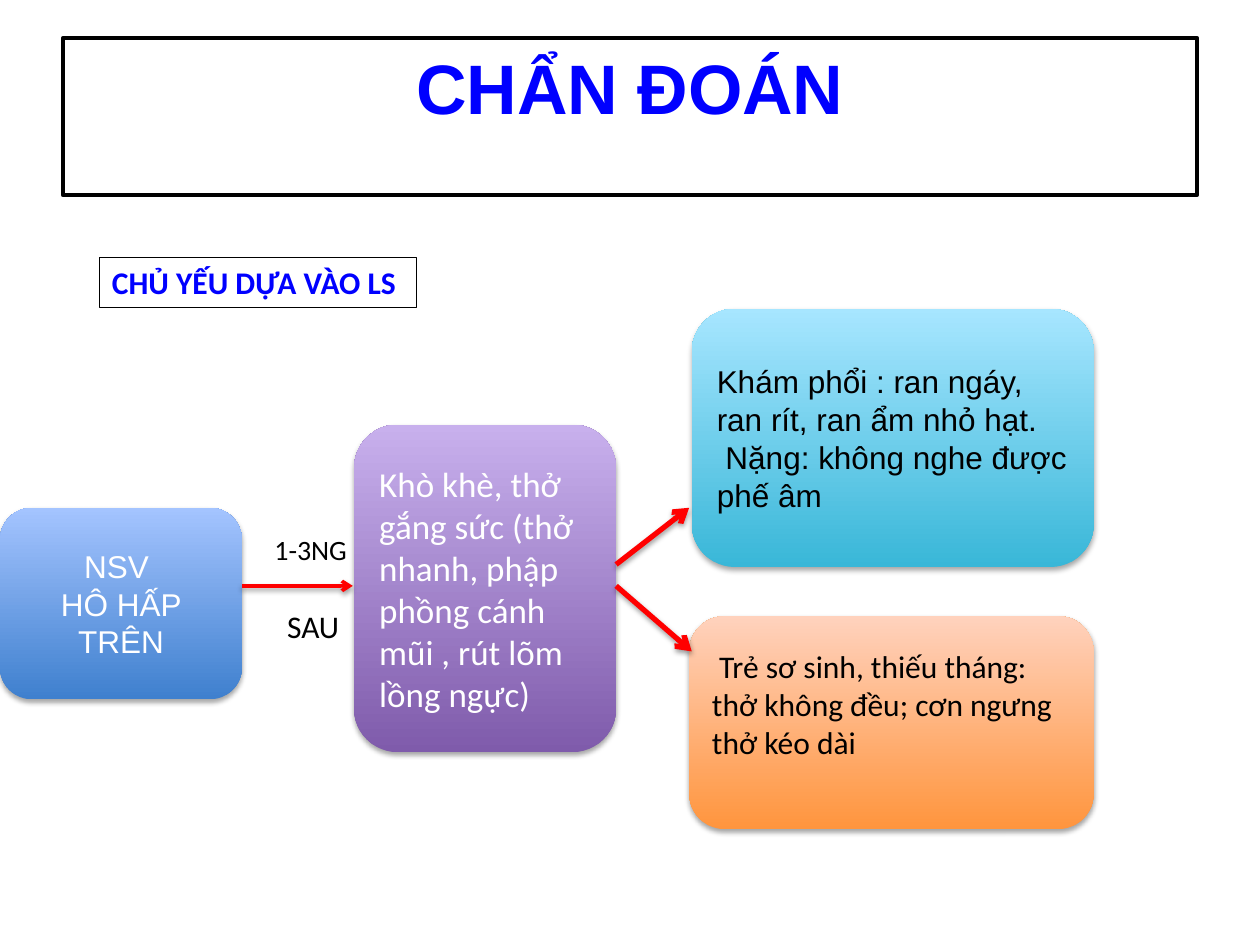
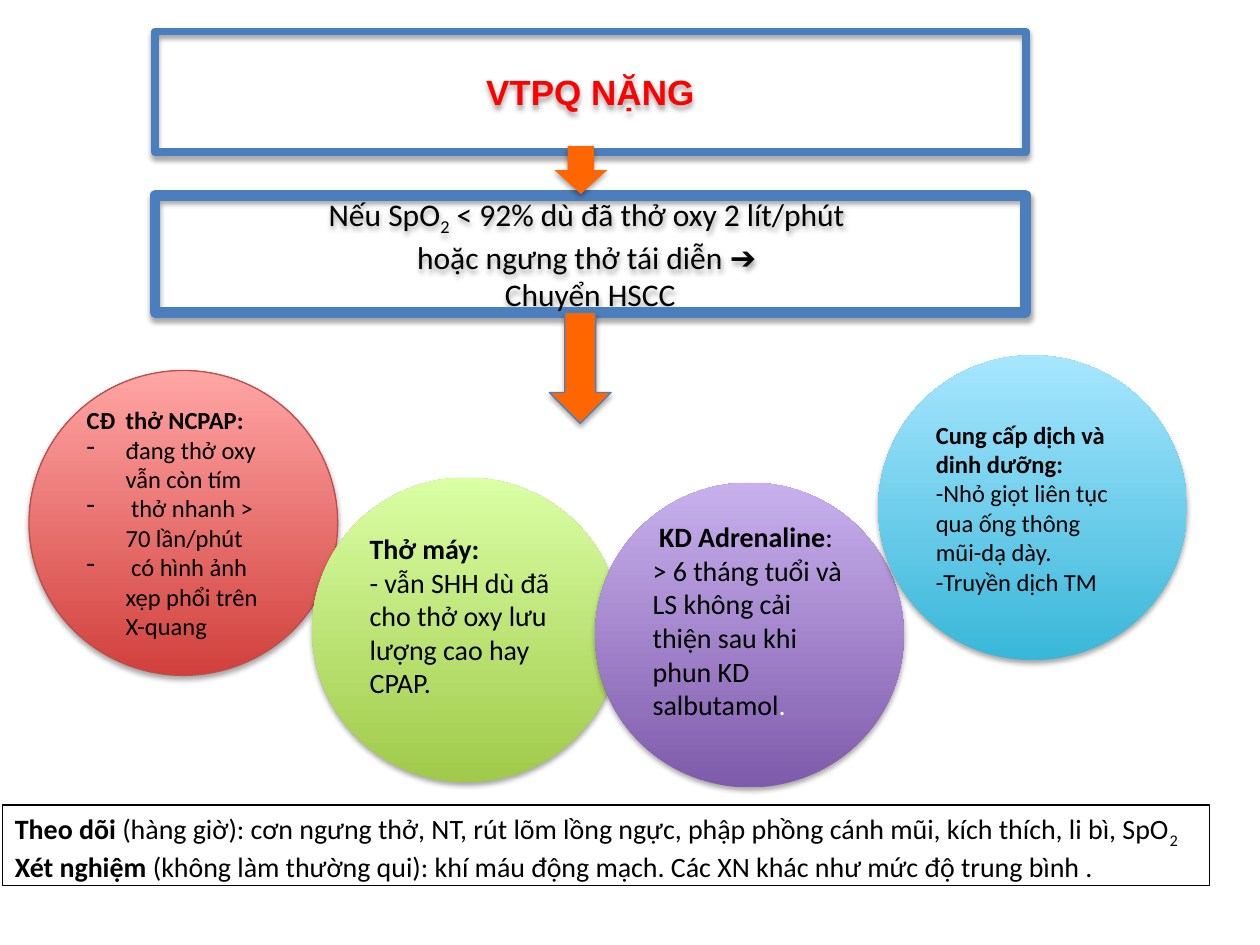
from dataclasses import dataclass

from lxml.etree import SubElement
from pptx import Presentation
from pptx.dml.color import RGBColor
from pptx.enum.shapes import MSO_CONNECTOR, MSO_SHAPE
from pptx.enum.text import MSO_ANCHOR, MSO_AUTO_SIZE, PP_ALIGN
from pptx.oxml.ns import qn
from pptx.util import Inches, Pt

BLACK, WHITE, RED, BLUE = "000000", "FFFFFF", "FF0000", "0000FF"
STEEL, FLAME = "4B7EBC", "FF6600"
SKY = ("39B7D8", "A7E6FF")
PLUM = ("7F5BAB", "C8B0ED")
NAVY = ("3F80CE", "A4C4FF")
PEACH = ("FF953E", "FFD2BD")
ROSE = ("D1403C", "FFA6A5")
LIME = ("A0CA4A", "DAFFA5")
CELL = 0.1


@dataclass
class Box:
    """A region measured in cells of a grid of 100 columns and 75 rows."""
    x: float
    y: float
    w: float
    h: float

    def sub(self, x, y, w, h):
        """Return a box placed relative to this one."""
        return Box(self.x + x, self.y + y, w, h)

    def frame(self):
        """Return left, top, width and height as lengths."""
        return [Inches(n * CELL) for n in (self.x, self.y, self.w, self.h)]


PAGE = Box(0, 0, 100, 75)


def tint(code):
    """Turn a hex string into a colour."""
    return RGBColor.from_string(code)


def cast(props, alpha, dist):
    """Add a soft shadow that falls straight down."""
    glow = props.find(qn("a:effectLst"))
    if glow is None:
        glow = SubElement(props, qn("a:effectLst"))
    shade = SubElement(glow, qn("a:outerShdw"), blurRad=str(Pt(3.1)),
                       dist=str(Pt(dist)), dir="5400000", rotWithShape="0")
    ink = SubElement(shade, qn("a:srgbClr"), val=BLACK)
    SubElement(ink, qn("a:alpha"), val=str(alpha * 1000))


def paint(shape, fill=None, line=None, width=0.75, shade=True):
    """Set fill, outline and shadow; a pair of colours makes a gradient."""
    if isinstance(fill, tuple):
        shape.fill.gradient()
        shape.fill.gradient_angle = 90
        for stop, code in zip(shape.fill.gradient_stops, fill):
            stop.color.rgb = tint(code)
    elif fill:
        shape.fill.solid()
        shape.fill.fore_color.rgb = tint(fill)
    else:
        shape.fill.background()
    if line:
        shape.line.color.rgb = tint(line)
        shape.line.width = Pt(width)
    else:
        shape.line.fill.background()
    shape.shadow.inherit = False
    if shade:
        cast(shape._element.spPr, 35, 1.8)


def dash(para):
    """Give a paragraph a hanging dash."""
    props = para._p.get_or_add_pPr()
    props.set("marL", str(Inches(0.31)))
    props.set("indent", str(-Inches(0.31)))
    SubElement(props, qn("a:buChar"), char="-")


def tab(para):
    """Set a tab stop in line with the dashed text."""
    tabs = SubElement(para._p.get_or_add_pPr(), qn("a:tabLst"))
    SubElement(tabs, qn("a:tab"), pos=str(Inches(0.31)), algn="l")


def write(shape, paras, size, color=BLACK, font="Calibri", align=PP_ALIGN.LEFT,
          anchor=MSO_ANCHOR.MIDDLE, wrap=True, foot=0.05):
    """Fill a shape with paragraphs of (text, marks) runs: b bold, s sub, w white, - dash."""
    frame = shape.text_frame
    frame.word_wrap = wrap
    frame.auto_size = MSO_AUTO_SIZE.NONE
    frame.vertical_anchor = anchor
    frame.margin_bottom = Inches(foot)
    for i, runs in enumerate(paras):
        para = frame.add_paragraph() if i else frame.paragraphs[0]
        runs = [(runs, "")] if isinstance(runs, str) else runs
        if "-" in runs[0][1]:
            dash(para)
        if "\t" in runs[0][0]:
            tab(para)
        para.alignment = align
        for text, marks in runs:
            run = para.add_run()
            run.text = text
            run.font.name = font
            run.font.size = Pt(size)
            run.font.bold = "b" in marks
            run.font.color.rgb = tint(WHITE if "w" in marks else color)
            if "s" in marks:
                run._r.get_or_add_rPr().set("baseline", "-25000")


def form(slide, kind, box, **look):
    """Add a painted preset shape."""
    shape = slide.shapes.add_shape(kind, *box.frame())
    paint(shape, **look)
    return shape


def label(slide, box, text, size):
    """Add a plain line of text."""
    write(slide.shapes.add_textbox(*box.frame()), [text], size,
          anchor=MSO_ANCHOR.TOP, wrap=False)


def arrow(slide, box, width):
    """Draw a red arrow from the first to the last corner of a box."""
    ends = (box.x, box.y, box.x + box.w, box.y + box.h)
    link = slide.shapes.add_connector(
        MSO_CONNECTOR.STRAIGHT, *[Inches(n * CELL) for n in ends])
    link.line.color.rgb = tint(RED)
    link.line.width = Pt(width)
    SubElement(link.line._get_or_add_ln(), qn("a:tailEnd"), type="arrow")
    cast(link._element.spPr, 38, 1.6)


def title(slide, box, text, size, color, anchor, **look):
    """Place and style the title."""
    head = slide.shapes.title
    head.left, head.top, head.width, head.height = box.frame()
    paint(head, **look)
    write(head, [[(text, "b")]], size, color, "Arial", PP_ALIGN.CENTER, anchor)


def flow(slide, box):
    """Draw the path from first signs to findings."""
    cards = [
        ((0, 15.8, 19.2, 15.2), NAVY, ["NSV ", "HÔ HẤP TRÊN"],
         dict(size=18, color=WHITE, font="Arial", align=PP_ALIGN.CENTER)),
        ((28.1, 9.2, 20.8, 26), PLUM,
         ["Khò khè, thở gắng sức (thở nhanh, phập phồng cánh mũi , "
          "rút lõm lồng ngực)"], dict(size=20, color=WHITE)),
        ((54.9, 0, 31.9, 20.5), SKY,
         ["Khám phổi : ran ngáy, ran rít, ran ẩm nhỏ hạt.",
          " Nặng: không nghe được phế âm"], dict(size=18, font="Arial")),
        ((54.7, 24.4, 32.1, 16.9), PEACH,
         [" Trẻ sơ sinh, thiếu tháng: thở không đều; cơn ngưng thở kéo dài"],
         dict(size=18, foot=0.35)),
    ]
    for place, fill, paras, style in cards:
        card = form(slide, MSO_SHAPE.ROUNDED_RECTANGLE, box.sub(*place), fill=fill)
        write(card, paras, **style)
    label(slide, box.sub(20.8, 17.3, 10.6, 3.7), "1-3NG", 16)
    label(slide, box.sub(21.8, 23.2, 6.3, 4), "SAU", 18)
    arrow(slide, box.sub(48.9, 20.3, 5.8, -4.5), 3)
    arrow(slide, box.sub(48.9, 22, 6, 5.2), 3)
    arrow(slide, box.sub(19.2, 22, 8.8, 0), 2)


def steps(slide, box):
    """Draw the transfer rule and the arrows around it."""
    rule = form(slide, MSO_SHAPE.RECTANGLE, box.sub(0, 3.9, box.w, 9.3),
                line=STEEL, width=6)
    write(rule, [[("Nếu SpO", ""), ("2", "s"), (" < 92% dù đã thở oxy 2 lít/phút ", "")],
                 "hoặc ngưng thở tái diễn ➔ ", "Chuyển HSCC"],
          18, align=PP_ALIGN.CENTER)
    form(slide, MSO_SHAPE.DOWN_ARROW, box.sub(31.7, 0, 4.2, 3.8), fill=FLAME)
    form(slide, MSO_SHAPE.DOWN_ARROW, box.sub(31.3, 13.2, 4.9, 8.8),
         fill=FLAME, line=STEEL)


def care(slide, box):
    """Draw the four overlapping circles of care, evenly spaced."""
    wide, high = 24.5, 24.2
    gap = (box.w - wide) / 3
    discs = [
        (1.2, ROSE, "BF4C48", 14, 0.05,
         [[("CĐ\tthở NCPAP:", "b")], [("đang thở oxy vẫn còn tím", "-")],
          [(" thở nhanh > 70 lần/phút", "-")],
          [(" có hình ảnh xẹp phổi trên X-quang", "-")]]),
        (9.7, LIME, None, 16, 0.28,
         [[("Thở máy:", "b")],
          "- vẫn SHH dù đã cho thở oxy lưu lượng cao hay CPAP."]),
        (10.1, PLUM, None, 16, 0.28,
         [[(" KD Adrenaline", "b"), (":", "")],
          [("> 6 tháng tuổi và LS không cải thiện sau khi phun KD salbutamol", ""),
           (".", "w")]]),
        (0, SKY, None, 14, 0.05,
         [[("Cung cấp dịch và dinh dưỡng:", "b")],
          "-Nhỏ giọt liên tục qua ống thông mũi-dạ dày.", "-Truyền dịch TM"]),
    ]
    for i, (drop, fill, line, size, foot, paras) in enumerate(discs):
        disc = form(slide, MSO_SHAPE.OVAL, box.sub(i * gap, drop, wide, high),
                    fill=fill, line=line)
        write(disc, paras, size, foot=foot)


def note(slide, box, paras, size, color, width):
    """Add a thin framed note."""
    pane = form(slide, MSO_SHAPE.RECTANGLE, box, line=BLACK, width=width, shade=False)
    write(pane, paras, size, color, anchor=MSO_ANCHOR.TOP, wrap=False)


def signs(slide):
    """Build the diagnosis slide."""
    title(slide, PAGE.sub(5, 3, 90, 12.5), "CHẨN ĐOÁN", 40, BLUE,
          MSO_ANCHOR.TOP, line=BLACK, width=2.25, shade=False)
    flow(slide, PAGE.sub(0, 24.5, 86.8, 41.3))
    note(slide, PAGE.sub(7.9, 20.4, 25.1, 4), [[("CHỦ YẾU DỰA VÀO LS", "b")]],
         18, BLUE, 0.25)


def severe(slide):
    """Build the severe case slide."""
    title(slide, PAGE.sub(12.3, 2.5, 69.1, 9.6), "VTPQ NẶNG", 20, RED,
          MSO_ANCHOR.MIDDLE, line=STEEL, width=4.5)
    steps(slide, PAGE.sub(12.3, 11.6, 69.1, 22))
    care(slide, PAGE.sub(2.3, 28.2, 91.9, 34.3))
    note(slide, PAGE.sub(0.2, 63.9, 95.8, 6.4),
         [[("Theo dõi ", "b"),
           ("(hàng giờ): cơn ngưng thở, NT, rút lõm lồng ngực, phập phồng cánh mũi, "
            "kích thích, li bì, SpO", ""), ("2", "s")],
          [("Xét nghiệm", "b"),
           (" (không làm thường qui): khí máu động mạch. "
            "Các XN khác như mức độ trung bình .", "")]], 16, BLACK, 0.75)


def main():
    """Build and save the deck."""
    deck = Presentation()
    deck.slide_width, deck.slide_height = PAGE.frame()[2:]
    for build in (signs, severe):
        build(deck.slides.add_slide(deck.slide_layouts[5]))
    deck.save("out.pptx")


if __name__ == "__main__":
    main()
